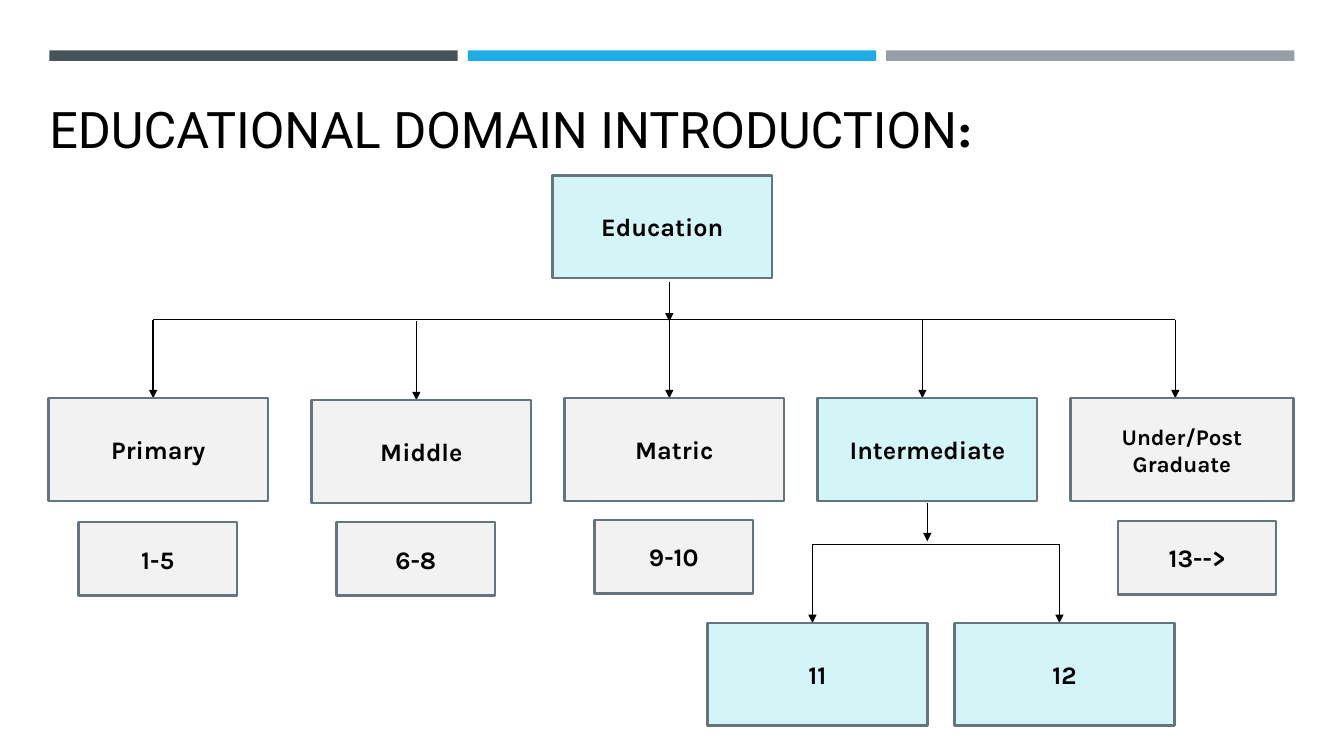
import pptx
import pptx.dml.color
import pptx.enum.shapes
import pptx.enum.text
import pptx.oxml.ns
import pptx.util
from lxml import etree

BLACK = pptx.dml.color.RGBColor(0x00, 0x00, 0x00)
SLATE = pptx.dml.color.RGBColor(0x46, 0x53, 0x59)
BLUE = pptx.dml.color.RGBColor(0x1C, 0xAD, 0xE4)
SILVER = pptx.dml.color.RGBColor(0x96, 0x9F, 0xA7)
AQUA = pptx.dml.color.RGBColor(0xD4, 0xF5, 0xF7)
PALE = pptx.dml.color.RGBColor(0xF2, 0xF2, 0xF2)
BORDER = pptx.dml.color.RGBColor(0x65, 0x75, 0x7D)

BOX_WIDTH, BOX_HEIGHT = 16.35, 13.6
RANGE_WIDTH, RANGE_HEIGHT = 11.78, 9.73
ARROW_OFFSET, ARROW_LENGTH = 7.8, 10.4
STAGE_TOP, GRADE_TOP = 52.67, 82.4


def write(para, text, font="Karla", size=18, bold=True, color=BLACK):
    """Add a formatted span of text to a paragraph."""
    span = para.add_run()
    span.text = text
    span.font.name = font
    span.font.size = pptx.util.Pt(size)
    span.font.bold = bold
    span.font.color.rgb = color


class Chart:
    """Draw on one slide with a grid of 100 columns and 100 rows."""

    def __init__(self, deck):
        self.column = deck.slide_width / 100
        self.row = deck.slide_height / 100
        self.page = deck.slides.add_slide(deck.slide_layouts[6])

    def place(self, *lengths):
        units = (self.column, self.row) * 2
        return [round(length * unit) for length, unit in zip(lengths, units)]

    def bar(self, left, top, width, height, fill):
        box = self.page.shapes.add_shape(
            pptx.enum.shapes.MSO_SHAPE.RECTANGLE, *self.place(left, top, width, height))
        box.shadow.inherit = False
        box.fill.solid()
        box.fill.fore_color.rgb = fill
        box.line.fill.background()
        return box

    def box(self, text, left, top, width=BOX_WIDTH, height=BOX_HEIGHT, fill=PALE, size=18):
        box = self.bar(left, top, width, height, fill)
        box.line.color.rgb = BORDER
        box.line.width = pptx.util.Pt(1.75)
        frame = box.text_frame
        frame.word_wrap = True
        frame.vertical_anchor = pptx.enum.text.MSO_ANCHOR.MIDDLE
        for index, words in enumerate(text.split("\n")):
            para = frame.add_paragraph() if index else frame.paragraphs[0]
            para.alignment = pptx.enum.text.PP_ALIGN.CENTER
            write(para, words, size=size)

    def line(self, left, top, right, bottom, arrow=False):
        line = self.page.shapes.add_connector(
            pptx.enum.shapes.MSO_CONNECTOR.STRAIGHT, *self.place(left, top, right, bottom))
        line.line.color.rgb = BLACK
        line.line.width = pptx.util.Pt(1)
        if arrow:
            outline = line.line._get_or_add_ln()
            etree.SubElement(outline, pptx.oxml.ns.qn("a:tailEnd"), type="triangle")
        etree.SubElement(line._element.spPr, pptx.oxml.ns.qn("a:effectLst"))

    def branch(self, text, left, top, **style):
        stem = left + ARROW_OFFSET
        self.line(stem, top - ARROW_LENGTH, stem, top, arrow=True)
        self.box(text, left, top, **style)

    def title(self, text, mark):
        box = self.page.shapes.add_textbox(*self.place(2.93, 12.27, 91.28, 10))
        box.text_frame.word_wrap = True
        para = box.text_frame.paragraphs[0]
        write(para, text, font="Roboto", size=36, bold=False)
        write(para, mark, size=36)


def main():
    deck = pptx.Presentation()
    deck.slide_width = pptx.util.Inches(13.33)
    deck.slide_height = pptx.util.Inches(7.5)
    chart = Chart(deck)

    for index, color in enumerate((SLATE, BLUE, SILVER)):
        chart.bar(3.68 + index * 31.13, 6.67, 30.38, 1.4, color)
    chart.title("EDUCATIONAL DOMAIN INTRODUCTION", ":")

    chart.box("Education", 41.1, 23.2, fill=AQUA)
    chart.line(49.8, 37.33, 49.8, 42.53, arrow=True)
    stage_bar = STAGE_TOP - ARROW_LENGTH
    chart.line(11.4, stage_bar, 87.4, stage_bar)
    chart.branch("Primary", 3.6, STAGE_TOP)
    chart.branch("Middle", 23.18, STAGE_TOP + 0.26)
    chart.branch("Matric", 42, STAGE_TOP)
    chart.branch("Intermediate", 60.83, STAGE_TOP, fill=AQUA)
    chart.branch("Under/Post\nGraduate", 79.65, STAGE_TOP, width=16.58, size=16)

    chart.line(69, 66.53, 69, 71.6, arrow=True)
    grade_bar = GRADE_TOP - ARROW_LENGTH
    grades = {"11": 52.65, "12": 71.03}
    chart.line(grades["11"] + ARROW_OFFSET, grade_bar, grades["12"] + ARROW_OFFSET, grade_bar)
    for grade, left in grades.items():
        chart.branch(grade, left, GRADE_TOP, fill=AQUA)

    ranges = (("1-5", 5.85, 69.07), ("6-8", 25.05, 69.07),
              ("9-10", 44.25, 68.8), ("13-->", 83.18, 68.93))
    for text, left, top in ranges:
        chart.box(text, left, top, RANGE_WIDTH, RANGE_HEIGHT)

    deck.save("out.pptx")


if __name__ == "__main__":
    main()
